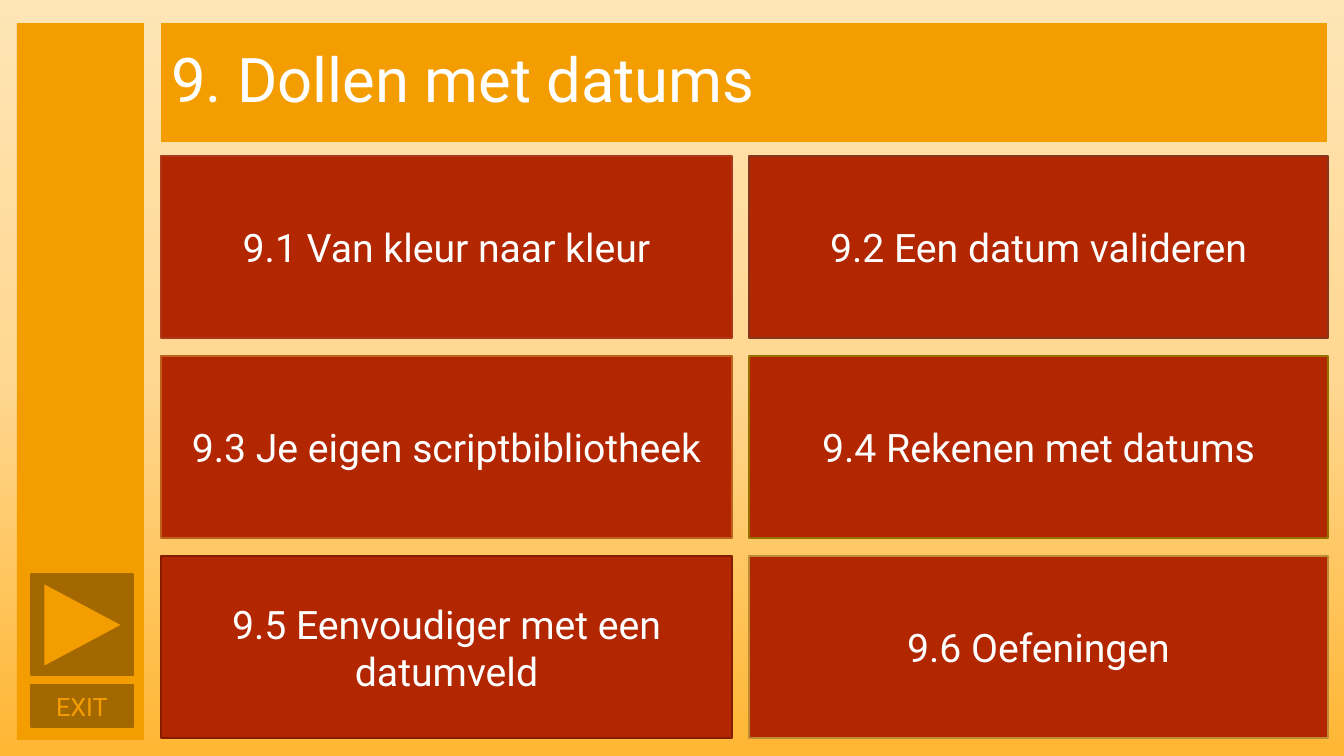
"""Build the chapter menu slide about working with dates."""
import copy

import pptx
import pptx.dml.color
import pptx.enum.shapes
import pptx.enum.text
import pptx.util

SCALE = 914400 / 100.8
FONT = "Roboto"
SHAPE = pptx.enum.shapes.MSO_SHAPE
ALIGN = pptx.enum.text.PP_ALIGN
COLOURS = {
    "orange": "F49D00",
    "brown": "A36900",
    "red": "B22600",
    "white": "FFFFFF",
}
BACKGROUND = [(0, "FFE5B5"), (0.5, "FFD791"), (1, "FFB633")]
TOPICS = [
    ("9.1 Van kleur naar kleur", "AC3819"),
    ("9.2 Een datum valideren", "87361C"),
    ("9.3 Je eigen scriptbibliotheek", "BD621D"),
    ("9.4 Rekenen met datums", "977100"),
    ("9.5 Eenvoudiger met een datumveld", "841C00"),
    ("9.6 Oefeningen", "BD8C35"),
]
COLUMNS = [(161, 571), (749, 579)]
TILE_TOP, TILE_HEIGHT, TILE_PITCH = 156, 182, 200


def px(n):
    return pptx.util.Emu(round(n * SCALE))


def rgb(colour):
    return pptx.dml.color.RGBColor.from_string(COLOURS.get(colour, colour))


def set_attrs(obj, values):
    for name, value in values.items():
        setattr(obj, name, value)


def place(sp, box):
    set_attrs(sp, dict(zip(("left", "top", "width", "height"), map(px, box))))


def paint(sp, fill, line=None):
    sp.fill.solid()
    sp.fill.fore_color.rgb = rgb(fill)
    if line:
        sp.line.color.rgb = rgb(line)
        sp.line.width = pptx.util.Pt(1)
    else:
        sp.line.fill.background()


def write(sp, text, size, colour, **paragraph):
    tf = sp.text_frame
    set_attrs(tf, {
        "word_wrap": True,
        "auto_size": pptx.enum.text.MSO_AUTO_SIZE.NONE,
        "vertical_anchor": pptx.enum.text.MSO_ANCHOR.MIDDLE,
    })
    p = tf.paragraphs[0]
    set_attrs(p, paragraph)
    r = p.add_run()
    r.text = text
    set_attrs(r.font, {"name": FONT, "size": pptx.util.Pt(size)})
    r.font.color.rgb = rgb(colour)


def add_block(s, box, fill, line=None, kind=SHAPE.RECTANGLE):
    sp = s.shapes.add_shape(kind, *map(px, box))
    sp.shadow.inherit = False
    paint(sp, fill, line)
    return sp


def add_background(s):
    fill = s.background.fill
    fill.gradient()
    fill.gradient_angle = 270
    first = s.element.xpath(".//a:gsLst/a:gs")[0]
    first.addnext(copy.deepcopy(first))
    for stop, (position, colour) in zip(fill.gradient_stops, BACKGROUND):
        stop.position = position
        stop.color.rgb = rgb(colour)


def add_title(s, text):
    sp = s.shapes.title
    place(sp, (161, 23, 1166, 119))
    paint(sp, "orange")
    write(sp, text, 44, "white", alignment=ALIGN.LEFT, line_spacing=0.9)


def add_sidebar(s):
    add_block(s, (17, 23, 127, 717), "orange")
    sp = add_block(s, (31, 685, 102, 42), "brown", "brown")
    write(sp, "EXIT", 18, "orange", alignment=ALIGN.CENTER)
    add_block(s, (31, 574, 102, 101), "brown", "brown")
    sp = add_block(s, (42, 587, 81, 76), "orange",
                   kind=SHAPE.ISOSCELES_TRIANGLE)
    sp.rotation = 90


def add_topics(s):
    for i, (text, line) in enumerate(TOPICS):
        row, column = divmod(i, len(COLUMNS))
        left, width = COLUMNS[column]
        box = (left, TILE_TOP + row * TILE_PITCH, width, TILE_HEIGHT)
        sp = add_block(s, box, "red", line)
        write(sp, text, 28, "white", alignment=ALIGN.CENTER)


def main():
    prs = pptx.Presentation()
    set_attrs(prs, {"slide_width": px(1344), "slide_height": px(756)})
    s = prs.slides.add_slide(prs.slide_layouts[5])
    add_background(s)
    add_title(s, "9. Dollen met datums")
    add_sidebar(s)
    add_topics(s)
    prs.save("out.pptx")


if __name__ == "__main__":
    main()
